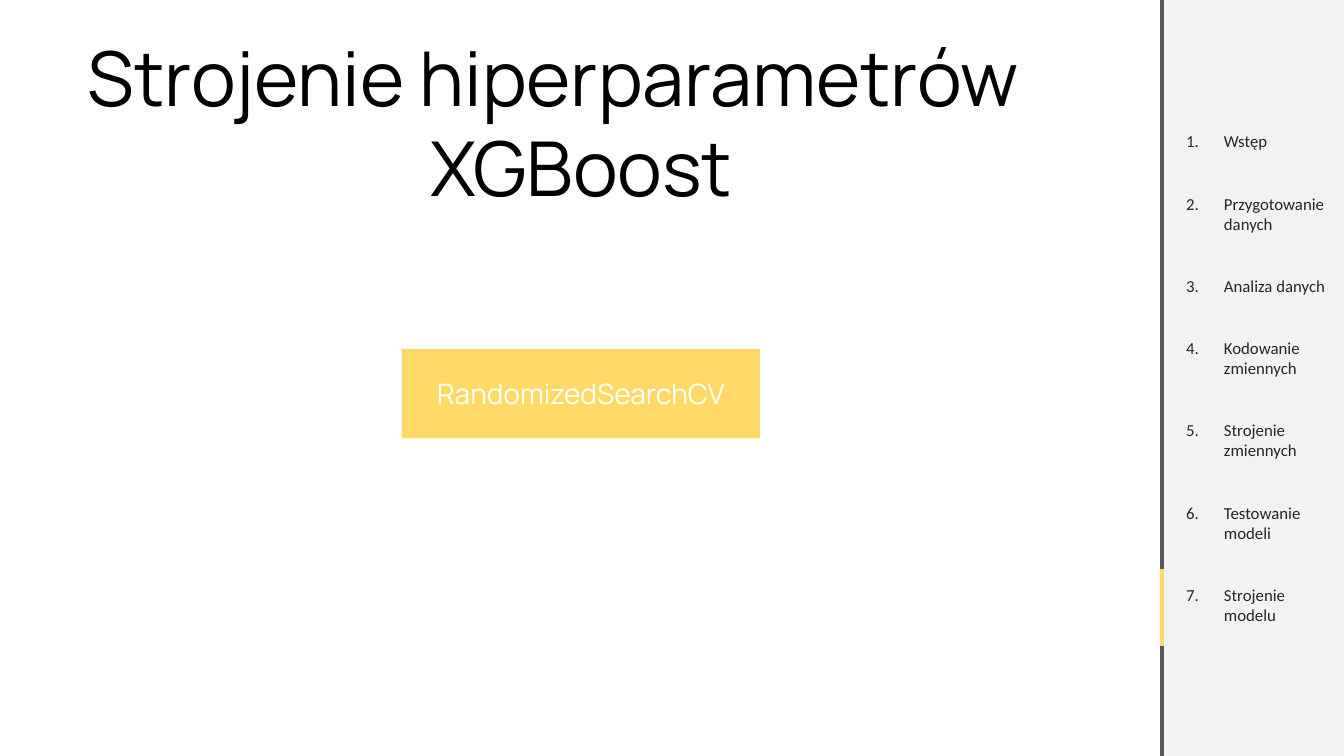
from dataclasses import dataclass

from lxml import etree
from pptx import Presentation
from pptx.dml.color import RGBColor
from pptx.enum.shapes import MSO_CONNECTOR, MSO_SHAPE
from pptx.enum.text import MSO_ANCHOR, MSO_AUTO_SIZE, PP_ALIGN
from pptx.oxml.ns import qn
from pptx.util import Cm, Pt

RECT = MSO_SHAPE.RECTANGLE
STRAIGHT = MSO_CONNECTOR.STRAIGHT
MIDDLE, TOP = MSO_ANCHOR.MIDDLE, MSO_ANCHOR.TOP
LEFT, CENTER = PP_ALIGN.LEFT, PP_ALIGN.CENTER
NO_AUTOFIT = MSO_AUTO_SIZE.NONE


@dataclass(frozen=True)
class Theme:
    accent: str = "FFD966"
    panel: str = "F2F2F2"
    rule: str = "595959"
    nav_text: str = "262626"
    title_text: str = "000000"
    label_text: str = "FFFFFF"
    main_font: str = "Manrope"
    nav_font: str = "Calibri"
    title_size: int = 54
    label_size: int = 20
    nav_size: int = 12
    rule_width: int = 3


@dataclass(frozen=True)
class Box:
    """Position and size in centimetres."""
    x: float
    y: float
    w: float
    h: float


@dataclass(frozen=True)
class Rule:
    """Vertical stretch of the panel edge, in centimetres."""
    top: float
    bottom: float
    color: str


THEME = Theme()
SLIDE_W, SLIDE_H = 33.87, 19.05
PANEL_X = 29.29
NAV_INDENT = 0.95

TITLE_BOX = Box(1.96, 0.64, 25.37, 4.88)
LABEL_BOX = Box(10.13, 8.79, 9.02, 2.26)
PANEL_BOX = Box(PANEL_X, 0, SLIDE_W - PANEL_X, SLIDE_H)
NAV_BOX = Box(29.64, 0, 4.29, SLIDE_H)
RULES = [Rule(0, SLIDE_H, THEME.rule), Rule(14.35, 16.28, THEME.accent)]

TITLE = "Strojenie hiperparametrów\nXGBoost"
SECTIONS = [
    "Wstęp",
    "Przygotowanie danych",
    "Analiza danych",
    "Kodowanie zmiennych",
    "Strojenie zmiennych",
    "Testowanie modeli",
    "Strojenie modelu",
]


def place(sp, box: Box) -> None:
    sp.left, sp.top = Cm(box.x), Cm(box.y)
    sp.width, sp.height = Cm(box.w), Cm(box.h)


def style(p, font: str, size: int, color: str) -> None:
    for r in p.runs:
        r.font.name = font
        r.font.size = Pt(size)
        r.font.color.rgb = RGBColor.from_string(color)


def add_rect(slide, box: Box, color: str):
    sp = slide.shapes.add_shape(RECT, Cm(box.x), Cm(box.y), Cm(box.w), Cm(box.h))
    sp.shadow.inherit = False
    sp.fill.solid()
    sp.fill.fore_color.rgb = RGBColor.from_string(color)
    sp.line.fill.background()
    return sp


def add_rule(slide, rule: Rule) -> None:
    x = Cm(PANEL_X)
    line = slide.shapes.add_connector(STRAIGHT, x, Cm(rule.top), x, Cm(rule.bottom))
    line.line.color.rgb = RGBColor.from_string(rule.color)
    line.line.width = Pt(THEME.rule_width)
    etree.SubElement(line._element.spPr, qn("a:effectLst"))


def number(p) -> None:
    """Give the paragraph a hanging automatic number."""
    pPr = p._p.get_or_add_pPr()
    pPr.set("marL", str(Cm(NAV_INDENT)))
    pPr.set("indent", str(-Cm(NAV_INDENT)))
    etree.SubElement(pPr, qn("a:buFont"), typeface="+mj-lt")
    etree.SubElement(pPr, qn("a:buAutoNum"), type="arabicPeriod")


def fill_title(sp) -> None:
    place(sp, TITLE_BOX)
    tf = sp.text_frame
    tf.text = TITLE
    tf.word_wrap = True
    tf.auto_size = NO_AUTOFIT
    tf.vertical_anchor = TOP
    for p, align in zip(tf.paragraphs, (LEFT, CENTER)):
        p.alignment = align
        style(p, THEME.main_font, THEME.title_size, THEME.title_text)


def fill_nav(sp) -> None:
    place(sp, NAV_BOX)
    tf = sp.text_frame
    tf.text = "\n".join(SECTIONS)
    tf.word_wrap = True
    tf.auto_size = NO_AUTOFIT
    tf.vertical_anchor = MIDDLE
    for p in tf.paragraphs:
        number(p)
        p.space_before = Pt(0)
        p.space_after = Pt(30)
        style(p, THEME.nav_font, THEME.nav_size, THEME.nav_text)


def add_label(slide, text: str) -> None:
    sp = add_rect(slide, LABEL_BOX, THEME.accent)
    tf = sp.text_frame
    tf.text = text
    tf.word_wrap = True
    tf.vertical_anchor = MIDDLE
    p = tf.paragraphs[0]
    p.alignment = CENTER
    style(p, THEME.main_font, THEME.label_size, THEME.label_text)


def main() -> None:
    prs = Presentation()
    prs.slide_width, prs.slide_height = Cm(SLIDE_W), Cm(SLIDE_H)
    slide = prs.slides.add_slide(prs.slide_layouts[1])

    # Title and method label
    fill_title(slide.shapes.title)
    add_label(slide, "RandomizedSearchCV")

    # Side panel, sent behind the section list
    panel = add_rect(slide, PANEL_BOX, THEME.panel)
    slide.shapes._spTree.insert(2, panel._element)
    fill_nav(slide.placeholders[1])

    # Panel edge with the current section marked
    for rule in RULES:
        add_rule(slide, rule)

    prs.save("out.pptx")


if __name__ == "__main__":
    main()
